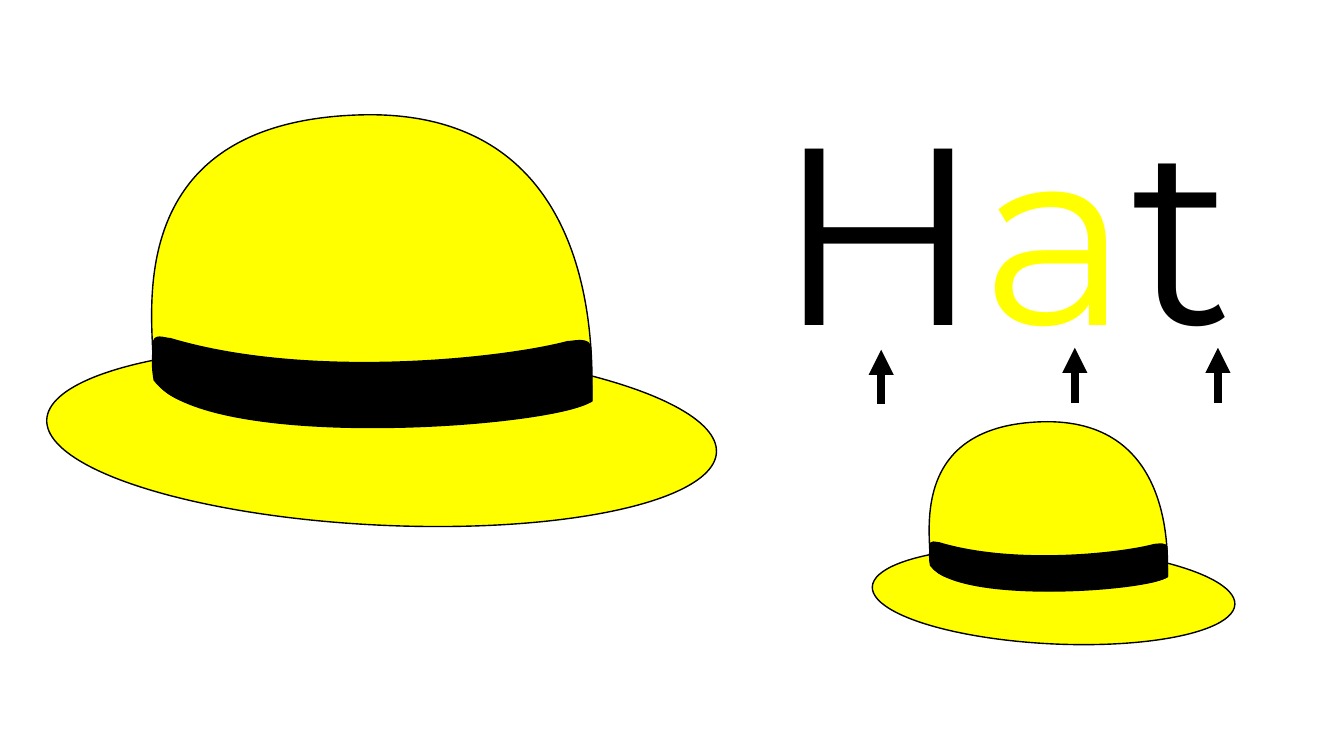
from lxml import etree
from pptx import Presentation
from pptx.dml.color import RGBColor
from pptx.enum import shapes, text
from pptx.oxml import ns
from pptx.util import Inches, Pt

YELLOW, BLACK = "FFFF00", "000000"

# Hat geometry in inches at full size: boxes are left, top, width, height;
# an outline is a start point, then cubic segments of three points each
BRIM = (0.46, 3.44, 6.65, 1.77)
CROWN_BOX = (1.5, 1.13, 4.37, 3.05)
CROWN = [(5.87, 3.98),
         (5.88, 3.48), (5.95, 1.07), (3.57, 1.14),
         (1.19, 1.21), (1.52, 3.12), (1.52, 3.62),
         (1.51, 4.12), (2.45, 4.08), (3.17, 4.14),
         (3.9, 4.2), (5.42, 4.21), (5.87, 3.98)]
BAND_BOX = (1.51, 3.35, 4.36, 0.9)
BAND = [(5.86, 3.46),
        (5.86, 3.34), (5.69, 3.39), (5.63, 3.39),
        (4.99, 3.56), (3.06, 3.77), (1.69, 3.36),
        (1.63, 3.36), (1.52, 3.3), (1.52, 3.42),
        (1.51, 3.6), (1.51, 3.65), (1.53, 3.77),
        (2.06, 4.5), (5.6, 4.23), (5.87, 3.97),
        (5.87, 3.81), (5.86, 3.62), (5.86, 3.46)]


def colour(value):
    return RGBColor.from_string(value)


def style(shape, fill):
    shape.shadow.inherit = False
    shape.fill.solid()
    shape.fill.fore_color.rgb = colour(fill)
    shape.line.color.rgb = colour(BLACK)
    shape.line.width = Pt(1)


def add_curve(group, corners, points, fill):
    """Add a closed outline of cubic curves inside the box with these corners."""
    (left, top), (right, bottom) = corners
    builder = group.shapes.build_freeform(left, top)
    builder.add_line_segments([(right, top), (right, bottom), (left, bottom)])
    shape = builder.convert_to_shape()

    # Trade the straight sides for curves
    outline = next(shape._element.iter(ns.qn("a:path")))
    for side in list(outline):
        outline.remove(side)

    def add_step(tag, step_points):
        step = etree.SubElement(outline, ns.qn(tag))
        for x, y in step_points:
            etree.SubElement(step, ns.qn("a:pt"), x=str(x - left), y=str(y - top))

    add_step("a:moveTo", points[:1])
    for i in range(1, len(points), 3):
        add_step("a:cubicBezTo", points[i:i + 3])
    add_step("a:close", [])
    style(shape, fill)


def add_hat(page, left, top, width):
    """Draw a hat whose brim box has this left, top and width."""
    group = page.shapes.add_group_shape()
    scale = width / BRIM[2]

    def place(x, y):
        return (Inches(left + (x - BRIM[0]) * scale),
                Inches(top + (y - BRIM[1]) * scale))

    brim = group.shapes.add_shape(
        shapes.MSO_SHAPE.OVAL, Inches(left), Inches(top),
        Inches(width), Inches(BRIM[3] * scale))
    brim.rotation = 2.8
    style(brim, YELLOW)

    for (x, y, w, h), outline, fill in ((CROWN_BOX, CROWN, YELLOW),
                                        (BAND_BOX, BAND, BLACK)):
        corners = place(x, y), place(x + w, y + h)
        add_curve(group, corners, [place(*point) for point in outline], fill)


def add_word(page, letters):
    box = page.shapes.title
    box.left, box.top = Inches(7.6), Inches(0.68)
    box.width, box.height = Inches(5.5), Inches(3.13)
    frame = box.text_frame
    frame.vertical_anchor = text.MSO_ANCHOR.TOP
    frame.auto_size = text.MSO_AUTO_SIZE.NONE
    para = frame.paragraphs[0]
    para.alignment = text.PP_ALIGN.LEFT
    para.font.name = "Montserrat"
    para.font.size = Pt(180)
    for letter, ink in letters:
        span = para.add_run()
        span.text = letter
        span.font.color.rgb = colour(ink)


def add_arrow(page, x, bottom, top):
    arrow = page.shapes.add_connector(
        shapes.MSO_CONNECTOR.STRAIGHT,
        Inches(x), Inches(bottom), Inches(x), Inches(top))
    arrow.line.color.rgb = colour(BLACK)
    arrow.line.width = Pt(6)
    etree.SubElement(arrow.line._get_or_add_ln(), ns.qn("a:tailEnd"), type="triangle")
    etree.SubElement(arrow._element.spPr, ns.qn("a:effectLst"))


def main():
    deck = Presentation()
    deck.slide_width, deck.slide_height = Inches(13.33), Inches(7.5)
    page = deck.slides.add_slide(deck.slide_layouts.get_by_name("Title Only"))

    # Word and the two hats
    add_word(page, (("H", BLACK), ("a", YELLOW), ("t", BLACK)))
    add_hat(page, 8.65, 5.43, 3.6)
    add_hat(page, *BRIM[:3])

    # One arrow under each letter
    for x, bottom, top in ((8.74, 4.01, 3.47), (10.66, 4, 3.45), (12.08, 4, 3.45)):
        add_arrow(page, x, bottom, top)

    deck.save("out.pptx")


if __name__ == "__main__":
    main()
